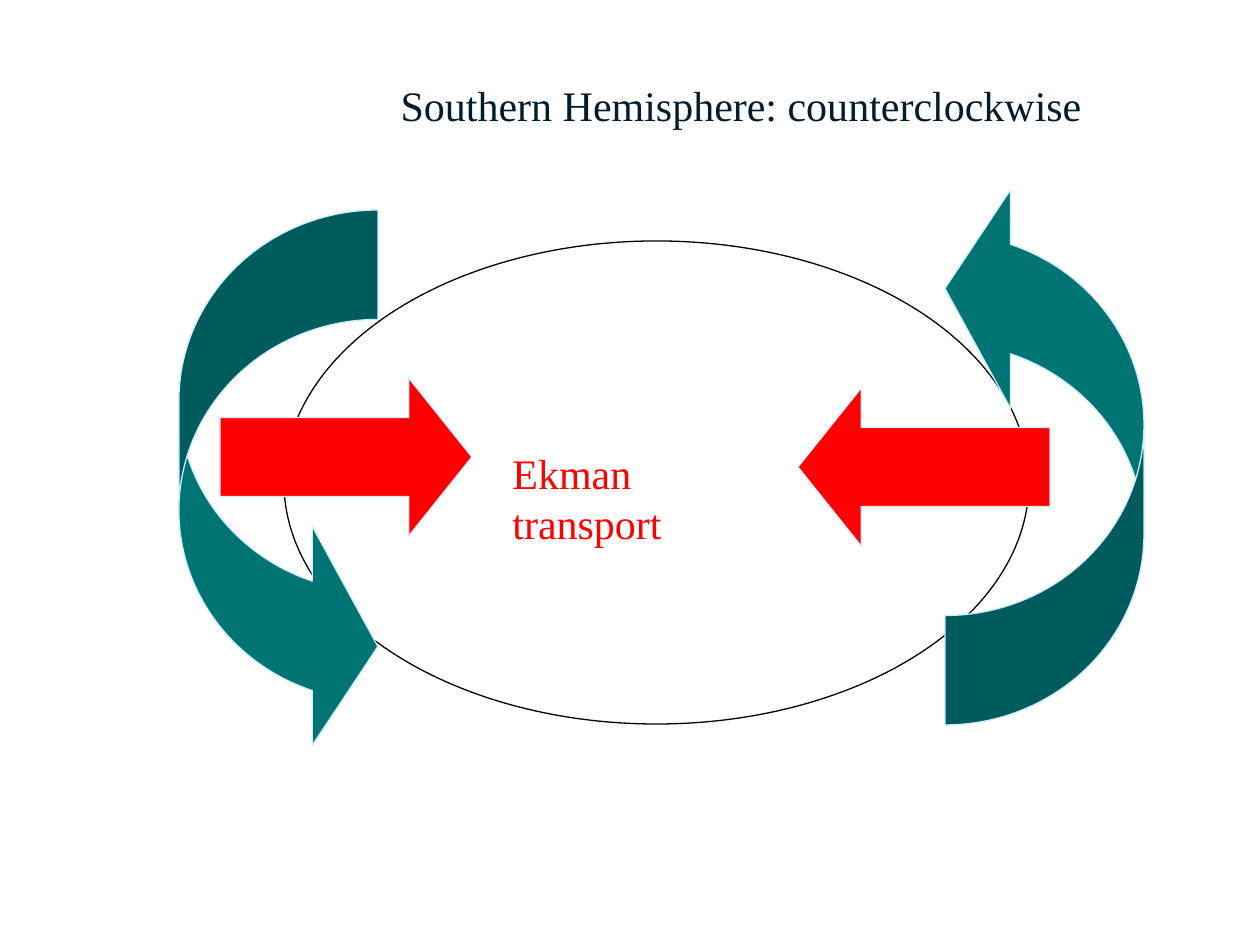
from pptx import Presentation
from pptx import util as u
from pptx.dml.color import RGBColor
from pptx.enum import shapes, text

PX = 914400 / 126  # EMU in one px
COLORS = {"ink": "001D2E", "outline": "000000", "teal": "007373",
          "edge": "CCECFF", "red": "FF0000"}
FONT = "Times New Roman"

# Content: text, box in px, colour, wrap
TITLE = ("Southern Hemisphere: counterclockwise", (388, 73, 713, 64), "ink", False)
LABEL = ("Ekman transport", (500, 441, 256, 50), "red", True)

# Shapes from back to front: kind, box in px, flip, adjustments, fill, line
KIND = shapes.MSO_SHAPE
CURVE = (0.55, 1.1, 0.33)
STRAIGHT = (0.5, 0.4)
SHAPES = [
    (KIND.OVAL, (284, 241, 745, 483), None, (), None, "outline"),
    (KIND.CURVED_LEFT_ARROW, (945, 179, 199, 546), "flipV", CURVE, "teal", "edge"),
    (KIND.CURVED_LEFT_ARROW, (179, 210, 199, 546), "flipH", CURVE, "teal", "edge"),
    (KIND.LEFT_ARROW, (220, 378, 252, 158), "flipH", STRAIGHT, "red", "edge"),
    (KIND.LEFT_ARROW, (798, 388, 252, 158), None, STRAIGHT, "red", "edge"),
]


def emu(box):
    return [u.Emu(round(value * PX)) for value in box]


def color(name):
    return RGBColor.from_string(COLORS[name])


def write(shape, words, box, color_name, wrap):
    shape.left, shape.top, shape.width, shape.height = emu(box)
    frame = shape.text_frame
    frame.text = words
    frame.word_wrap = wrap
    frame.auto_size = text.MSO_AUTO_SIZE.NONE
    frame.vertical_anchor = text.MSO_ANCHOR.TOP
    paragraph = frame.paragraphs[0]
    paragraph.alignment = text.PP_ALIGN.LEFT
    paragraph.line_spacing = 1.0
    paragraph.font.name = FONT
    paragraph.font.size = u.Pt(24)
    paragraph.font.color.rgb = color(color_name)


def draw(slide, kind, box, flip, adjustments, fill, line):
    shape = slide.shapes.add_shape(kind, *emu(box))
    shape.shadow.inherit = False
    for index, value in enumerate(adjustments):
        shape.adjustments[index] = value
    if flip:
        shape.element.spPr.xfrm.set(flip, "1")
    if fill:
        shape.fill.solid()
        shape.fill.fore_color.rgb = color(fill)
    else:
        shape.fill.background()
    shape.line.color.rgb = color(line)
    shape.line.width = u.Pt(0.75)


def main():
    presentation = Presentation()
    presentation.slide_width, presentation.slide_height = u.Inches(10), u.Inches(7.5)
    slide = presentation.slides.add_slide(presentation.slide_layouts[5])

    # Gyre with its circulation and transport arrows
    for item in SHAPES:
        draw(slide, *item)

    # Title and label
    write(slide.shapes.title, *TITLE)
    write(slide.shapes.add_textbox(*emu(LABEL[1])), *LABEL)

    presentation.save("out.pptx")


if __name__ == "__main__":
    main()
